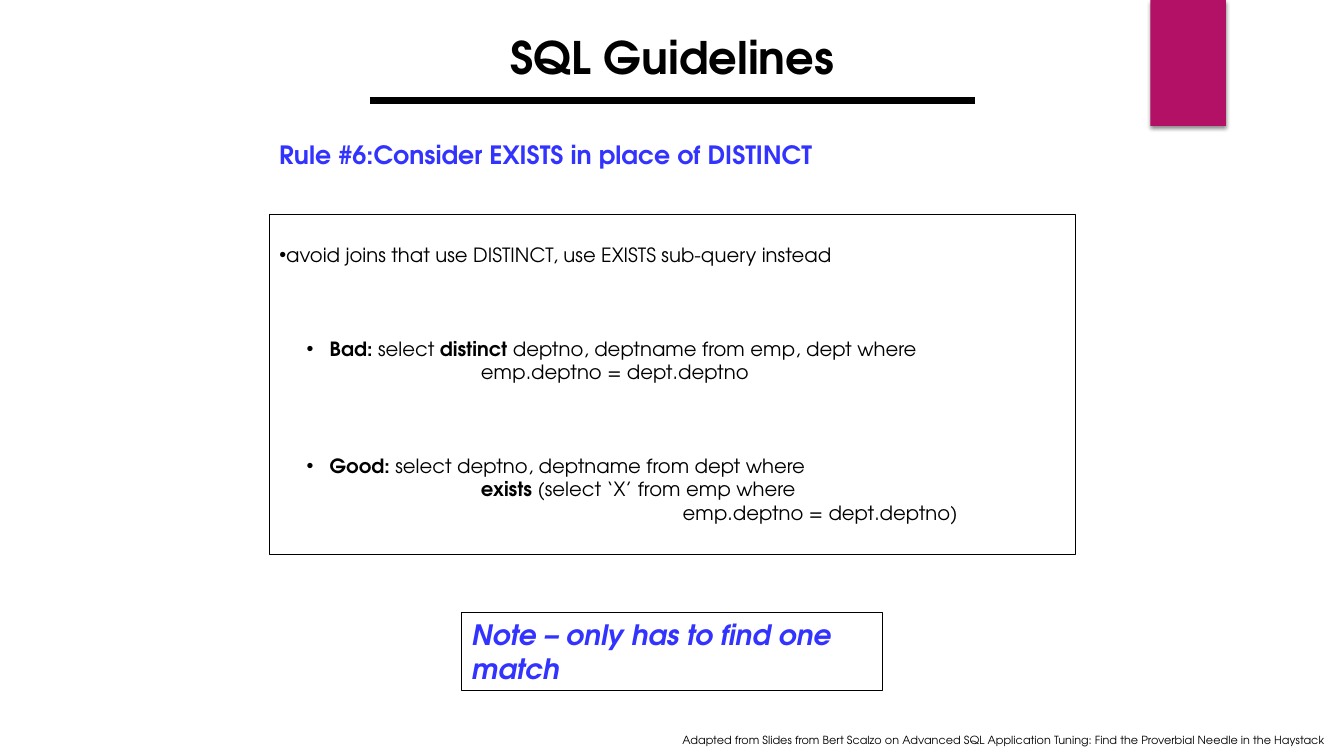
from dataclasses import dataclass
from lxml.etree import SubElement
from pptx import Presentation
from pptx.dml.color import RGBColor
from pptx.enum.shapes import MSO_CONNECTOR, MSO_SHAPE
from pptx.enum.text import MSO_ANCHOR, MSO_AUTO_SIZE, PP_ALIGN
from pptx.oxml.ns import qn
from pptx.util import Inches, Pt


@dataclass(frozen=True)
class Theme:
    font: str = "TeX Gyre Adventor"
    ink: RGBColor = RGBColor(0, 0, 0)
    blue: RGBColor = RGBColor(0x33, 0x33, 0xFF)
    plum: RGBColor = RGBColor(0xB3, 0x11, 0x66)
    title: int = 32
    note: int = 20
    rule: int = 18
    body: int = 14
    credit: int = 8


THEME = Theme()
TITLE = "SQL Guidelines"
RULE = "Rule #6:Consider EXISTS in place of DISTINCT"
NOTE = "Note – only has to find one match"
CREDIT = ("Adapted from Slides from Bert Scalzo on Advanced SQL Application "
          "Tuning: Find the Proverbial Needle in the Haystack")

# Left margin, first-line indent, space before (pt), bullet, runs of (text, bold)
GAP = 50
BODY = [
    (0, 0, 0, True,
     [("avoid joins that use DISTINCT, use EXISTS sub-query instead", False)]),
    (0.5, -0.23, GAP, True,
     [("Bad:", True), (" select ", False), ("distinct", True),
      (" deptno, deptname from emp, dept where", False)]),
    (2, 0, 0, False, [("emp.deptno = dept.deptno", False)]),
    (0.5, -0.23, GAP, True,
     [("Good: ", True), ("select deptno, deptname from dept where", False)]),
    (2, 0, 0, False,
     [("exists", True), (" (select ‘X’ from emp where", False)]),
    (4, 0, 0, False, [("emp.deptno = dept.deptno)", False)]),
]


def place(shape, *box):
    shape.left, shape.top, shape.width, shape.height = map(Inches, box)


def setup(frame, wrap=True, anchor=MSO_ANCHOR.TOP):
    frame.auto_size = MSO_AUTO_SIZE.NONE
    frame.word_wrap = wrap
    frame.vertical_anchor = anchor


def write(para, text, size, color=THEME.ink, bold=False, italic=False):
    run = para.add_run()
    run.text = text
    font = run.font
    font.name, font.size, font.bold, font.italic = THEME.font, Pt(size), bold, italic
    font.color.rgb = color


def frame_line(shape):
    shape.line.color.rgb = THEME.ink
    shape.line.width = Pt(0.75)


def label(slide, box, text, size, wrap=True, **style):
    shape = slide.shapes.add_textbox(*map(Inches, box))
    setup(shape.text_frame, wrap)
    write(shape.text_frame.paragraphs[0], text, size, **style)
    return shape


def add_tab(slide):
    tab = slide.shapes.add_shape(
        MSO_SHAPE.RECTANGLE, *map(Inches, (11.41, 0, 0.75, 1.25)))
    tab.fill.solid()
    tab.fill.fore_color.rgb = THEME.plum
    tab.line.fill.background()
    tab.shadow.inherit = False
    effects = tab._element.spPr.find(qn("a:effectLst"))
    shade = SubElement(effects, qn("a:outerShdw"), blurRad=str(Pt(3)),
                       dist=str(Pt(2)), dir="5400000", rotWithShape="0")
    color = SubElement(shade, qn("a:srgbClr"), val="000000")
    SubElement(color, qn("a:alpha"), val="45000")


def add_title(slide):
    title = slide.shapes.title
    place(title, 3.67, 0.25, 6, 0.63)
    setup(title.text_frame, anchor=MSO_ANCHOR.MIDDLE)
    para = title.text_frame.paragraphs[0]
    para.alignment = PP_ALIGN.CENTER
    write(para, TITLE, THEME.title, bold=True)
    bar = slide.shapes.add_connector(
        MSO_CONNECTOR.STRAIGHT, *map(Inches, (3.67, 1, 9.67, 1)))
    bar.line.color.rgb = THEME.ink
    bar.line.width = Pt(5)
    SubElement(bar._element.spPr, qn("a:effectLst"))


def add_body(slide):
    body = slide.placeholders[1]
    place(body, 2.67, 2.13, 8, 3.37)
    frame_line(body)
    frame = body.text_frame
    setup(frame)
    frame.margin_top = Inches(0.28)
    for i, (left, indent, gap, dot, runs) in enumerate(BODY):
        para = frame.add_paragraph() if i else frame.paragraphs[0]
        para.space_before = Pt(gap)
        props = para._p.get_or_add_pPr()
        props.set("marL", str(Inches(left)))
        props.set("indent", str(Inches(indent)))
        if dot:
            SubElement(props, qn("a:buFont"), typeface="Arial")
            SubElement(props, qn("a:buChar"), char="•")
        else:
            SubElement(props, qn("a:buNone"))
        for text, bold in runs:
            write(para, text, THEME.body, bold=bold)


def main():
    deck = Presentation()
    deck.slide_width, deck.slide_height = Inches(13.33), Inches(7.5)
    slide = deck.slides.add_slide(deck.slide_layouts[1])
    add_tab(slide)
    add_title(slide)
    label(slide, (2.67, 1.33, 8, 0.4), RULE, THEME.rule,
          color=THEME.blue, bold=True)
    add_body(slide)
    note = label(slide, (4.58, 6.08, 4.17, 0.77), NOTE, THEME.note,
                 color=THEME.blue, bold=True, italic=True)
    frame_line(note)
    label(slide, (6.67, 7.23, 6.67, 0.37), CREDIT, THEME.credit, wrap=False)
    deck.save("out.pptx")


if __name__ == "__main__":
    main()
